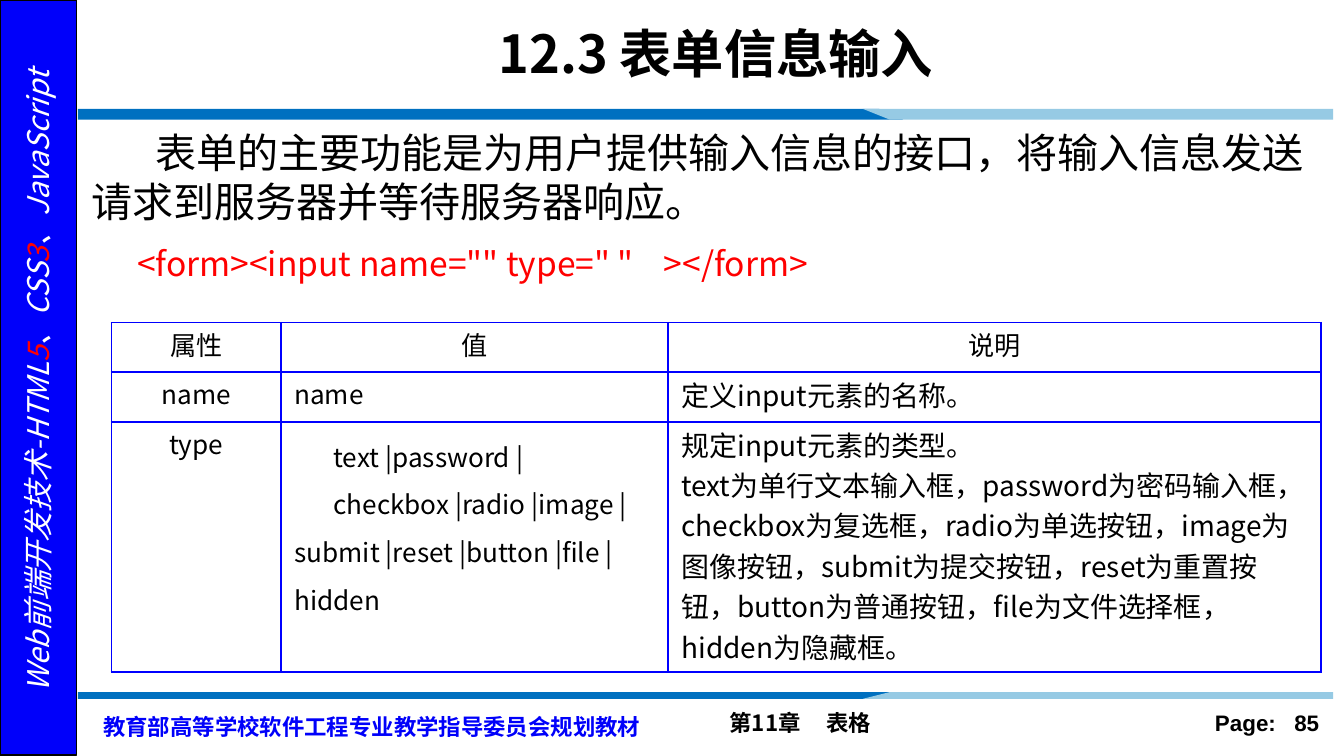
from lxml import etree
from pptx import Presentation
from pptx.dml.color import RGBColor
from pptx.enum.shapes import MSO_SHAPE
from pptx.enum.text import MSO_ANCHOR, MSO_AUTO_SIZE, PP_ALIGN
from pptx.oxml.ns import qn
from pptx.util import Inches, Pt

COLORS = {"black": "000000", "white": "FFFFFF", "red": "FF0000", "side": "0000FA",
          "dark": "0070C0", "light": "96CAE4", "grid": "0000FF"}
CJK = "Noto Sans CJK SC"
LEFT, CENTER = PP_ALIGN.LEFT, PP_ALIGN.CENTER


def rgb(name):
    return RGBColor.from_string(COLORS[name])


def format_run(r, size, color="black", bold=False, italic=False, font=CJK):
    r.font.size, r.font.bold, r.font.italic = Pt(size), bold, italic
    r.font.color.rgb = rgb(color)
    r.font.name = font
    etree.SubElement(r.font._element, qn("a:ea")).set("typeface", font)


def format_paragraph(p, size, align=LEFT, spacing=None, **style):
    p.alignment, p.line_spacing = align, spacing
    for r in p.runs:
        format_run(r, size, **style)


def indent(p, first):
    pPr = p._p.get_or_add_pPr()
    pPr.set("marL", "0")
    pPr.set("indent", str(Inches(first)))


def add_tab(p, pos):
    tabs = etree.SubElement(p._p.get_or_add_pPr(), qn("a:tabLst"))
    tab = etree.SubElement(tabs, qn("a:tab"))
    tab.set("pos", str(Inches(pos)))
    tab.set("algn", "l")


def place(sp, x, y, w, h):
    sp.left, sp.top, sp.width, sp.height = map(Inches, (x, y, w, h))


def add_text(s, x, y, w, h, text):
    sp = s.shapes.add_textbox(*map(Inches, (x, y, w, h)))
    tf = sp.text_frame
    tf.word_wrap = True
    tf.text = text
    return sp, tf.paragraphs[0]


def add_sidebar(s, x, y, w, h):
    bar = s.shapes.add_shape(MSO_SHAPE.RECTANGLE, *map(Inches, (x, y, w, h)))
    bar.shadow.inherit = False
    bar.fill.solid()
    bar.fill.fore_color.rgb = rgb("side")
    bar.line.color.rgb = rgb("black")
    bar.line.width = Pt(1)

    # Vertical course name, centred on the bar
    length, depth = 5.19, 0.37
    sp, p = add_text(s, x + w / 2 - length / 2, y + h / 2 - depth / 2 + 0.03,
                     length, depth, "")
    sp.rotation = 270
    p.alignment = CENTER
    for text, color in (("Web前端开发技术-HTML", "white"), ("5", "red"), ("、CSS", "white"),
                        ("3", "red"), ("、JavaScript", "white")):
        r = p.add_run()
        r.text = text
        format_run(r, 16, color, italic=True)


def add_band(s, x, y, w, h, flip=False):
    """Two-tone rule whose halves meet on a slant; flip mirrors it vertically."""
    top, bottom = (y + h, y) if flip else (y, y + h)
    right = x + w
    halves = {
        "dark": [(x, top), (x + 5.96, top), (x + 6.14, bottom), (x, bottom)],
        "light": [(x + 5.84, top), (right, top), (right, bottom), (x + 6.04, bottom)],
    }
    for color, points in halves.items():
        points = [(Inches(px), Inches(py)) for px, py in points]
        builder = s.shapes.build_freeform(*points[0])
        builder.add_line_segments(points[1:])
        sp = builder.convert_to_shape()
        sp.shadow.inherit = False
        sp.fill.solid()
        sp.fill.fore_color.rgb = rgb(color)
        sp.line.fill.background()


def add_footer(s, x, y):
    _, p = add_text(s, x, y - 0.02, 4.33, 0.35, "教育部高等学校软件工程专业教学指导委员会规划教材")
    format_paragraph(p, 12, spacing=Pt(18), color="side", bold=True)

    _, p = add_text(s, x + 4.66, y, 3.29, 0.3, "第11章\t表格")
    add_tab(p, 0.72)
    format_paragraph(p, 12, bold=True)

    sp, p = add_text(s, x + 8, y, 1.25, 0.3, "Page:\t85")
    sp.text_frame.margin_left = Inches(0.37)
    sp.text_frame.margin_right = 0
    add_tab(p, 0.59)
    format_paragraph(p, 12, bold=True, font="Arial")


def fill_title(title, x, y, w, h):
    place(title, x, y, w, h)
    tf = title.text_frame
    tf.text = "12.3 表单信息输入"
    tf.vertical_anchor = MSO_ANCHOR.MIDDLE
    format_paragraph(tf.paragraphs[0], 28, CENTER, bold=True)


def fill_body(body, x, y, w, h):
    place(body, x, y, w, h)
    tf = body.text_frame
    tf.auto_size = MSO_AUTO_SIZE.NONE
    tf.text = ("表单的主要功能是为用户提供输入信息的接口，将输入信息发送请求到服务器并等待服务器响应。\n"
               '<form><input name="" type=" "    ></form>')
    intro, code = tf.paragraphs
    for p, first, size, color in ((intro, 0.48, 22, "black"), (code, 0.34, 18, "red")):
        indent(p, first)
        etree.SubElement(p._p.get_or_add_pPr(), qn("a:buNone"))
        format_paragraph(p, size, spacing=1.0, color=color)
        p.space_before, p.space_after = Pt(0), Pt(4)
    code.space_before = Pt(5)


def set_borders(cell):
    tcPr = cell._tc.get_or_add_tcPr()
    for i, side in enumerate(("lnL", "lnR", "lnT", "lnB")):
        ln = etree.Element(qn(f"a:{side}"), w=str(Pt(1)))
        fill = etree.SubElement(ln, qn("a:solidFill"))
        etree.SubElement(fill, qn("a:srgbClr")).set("val", COLORS["grid"])
        tcPr.insert(i, ln)


def add_attribute_table(s, x, y, col_widths, row_heights):
    rows = [
        ("属性", "值", "说明"),
        ("name", "name", "定义input元素的名称。"),
        ("type",
         "text |password |\ncheckbox |radio |image |submit |reset |button |file |hidden",
         "规定input元素的类型。\ntext为单行文本输入框，password为密码输入框，checkbox为复选框，"
         "radio为单选按钮，image为图像按钮，submit为提交按钮，reset为重置按钮，"
         "button为普通按钮，file为文件选择框，hidden为隐藏框。"),
    ]
    table = s.shapes.add_table(len(rows), len(col_widths), Inches(x), Inches(y),
                               Inches(sum(col_widths)), Inches(sum(row_heights))).table
    table.first_row = table.horz_banding = False
    for col, width in zip(table.columns, col_widths):
        col.width = Inches(width)
    for row, height in zip(table.rows, row_heights):
        row.height = Inches(height)

    for i, texts in enumerate(rows):
        for j, text in enumerate(texts):
            cell = table.cell(i, j)
            cell.text = text
            cell.fill.background()
            cell.margin_top = cell.margin_bottom = Inches(0.04)
            set_borders(cell)
            align = CENTER if i == 0 or j == 0 else LEFT
            size = 15 if i and j == 2 else 14
            is_type_list = (i, j) == (2, 1)
            for k, p in enumerate(cell.text_frame.paragraphs):
                # Keep closing punctuation inside the cell
                p._p.get_or_add_pPr().set("hangingPunct", "0")
                if is_type_list:
                    indent(p, 0.29)
                spacing = 1.25 if is_type_list else 1.0 if k else 0.9
                format_paragraph(p, size, align, spacing)


def main():
    prs = Presentation()
    prs.slide_width = Inches(10)
    prs.slide_height = prs.slide_width * 9 // 16
    s = prs.slides.add_slide(prs.slide_layouts[1])

    # Frame
    add_sidebar(s, 0, 0, 0.57, 5.62)
    add_band(s, 0.58, 0.81, 9.34, 0.08)
    add_band(s, 0.58, 5.15, 9.34, 0.05, flip=True)
    add_footer(s, 0.67, 5.23)

    # Content
    fill_title(s.shapes.title, 1.08, 0.08, 8.49, 0.62)
    fill_body(s.placeholders[1], 0.58, 0.9, 9.31, 1.42)
    add_attribute_table(s, 0.83, 2.4, (1.26, 2.88, 4.86), (0.37, 0.37, 1.86))

    prs.save("out.pptx")


if __name__ == "__main__":
    main()
